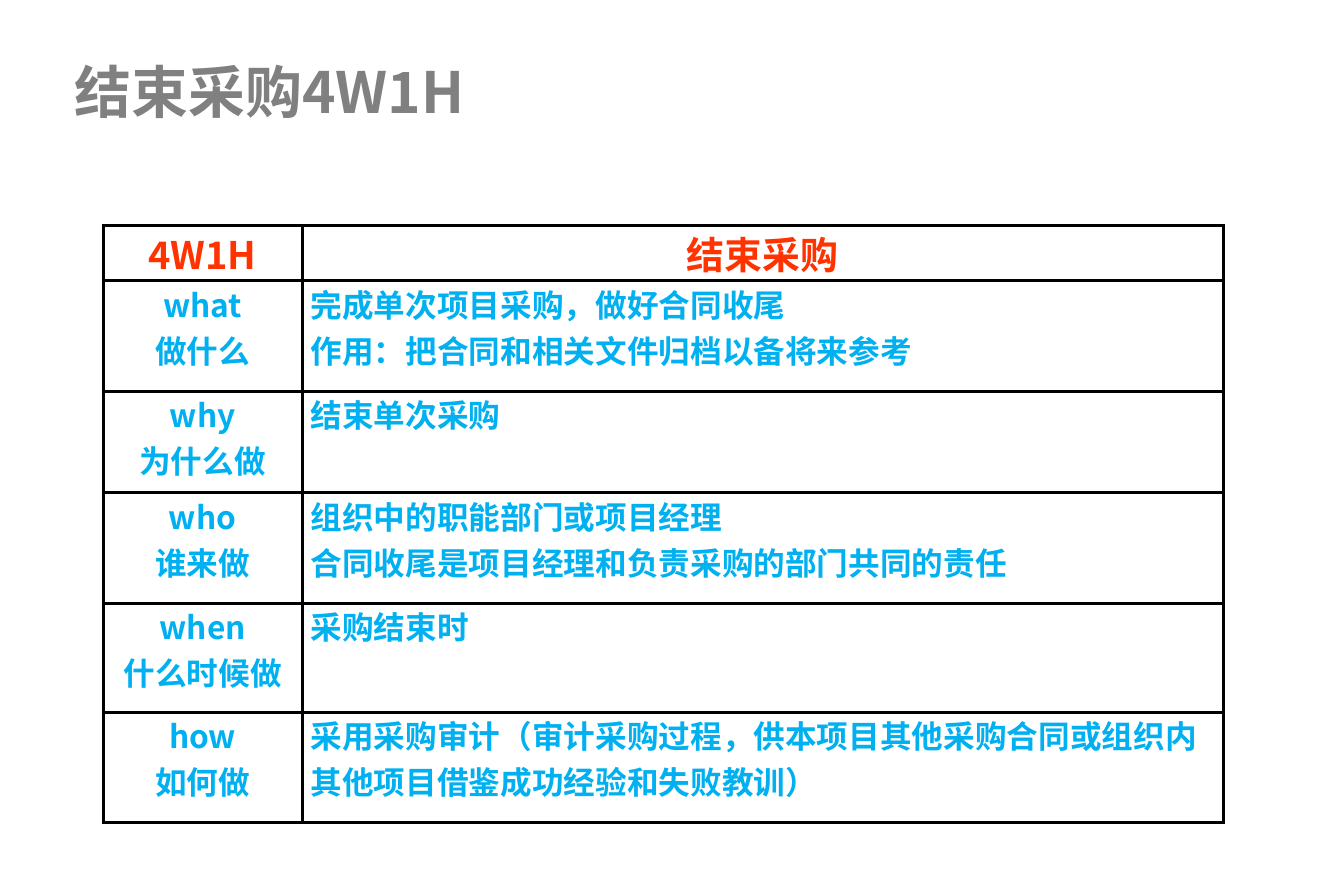
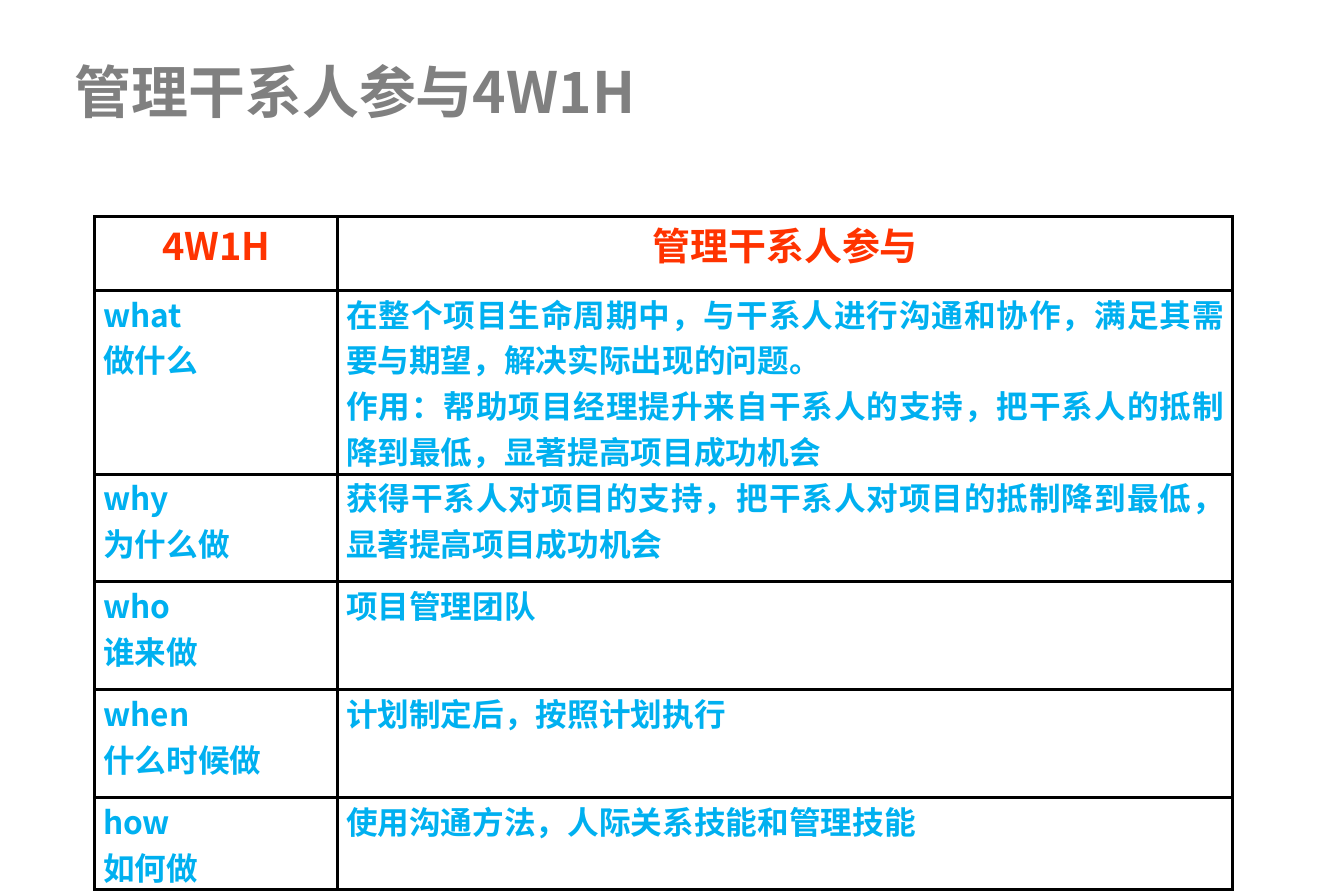
from lxml import etree
from pptx import Presentation
from pptx.dml.color import RGBColor
from pptx.enum.text import MSO_ANCHOR, PP_ALIGN
from pptx.oxml.ns import qn
from pptx.util import Pt

# Shared style
PIXEL = 9525  # EMU per px, 96 px to the inch
SLIDE_SIZE = (1134, 756)
FONT = "Noto Sans CJK SC"
COLORS = {
    "title": "808080",
    "header": "FF3300",
    "body": "00B0F0",
    "border": "000000",
    "cell": "FFFFFF",
}
TITLE_BOX = (52, 47, 1020, 60)
BORDER_WIDTH = 2.25
QUESTIONS = [
    ["what", "做什么"],
    ["why", "为什么做"],
    ["who", "谁来做"],
    ["when", "什么时候做"],
    ["how", "如何做"],
]

# Slide content
SLIDES = [
    {
        "topic": "结束采购",
        "origin": (87, 190),
        "columns": [168, 777],
        "rows": [47, 93, 86, 93, 92, 93],
        "question_align": PP_ALIGN.CENTER,
        "answer_align": PP_ALIGN.LEFT,
        "answers": [
            ["完成单次项目采购，做好合同收尾", "作用：把合同和相关文件归档以备将来参考"],
            ["结束单次采购"],
            ["组织中的职能部门或项目经理", "合同收尾是项目经理和负责采购的部门共同的责任"],
            ["采购结束时"],
            ["采用采购审计（审计采购过程，供本项目其他采购合同或组织内其他项目借鉴成功经验和失败教训）"],
        ],
    },
    {
        "topic": "管理干系人参与",
        "origin": (80, 183),
        "columns": [205, 755],
        "rows": [62, 155, 91, 91, 91, 78],
        "question_align": PP_ALIGN.JUSTIFY,
        "answer_align": PP_ALIGN.JUSTIFY,
        "answers": [
            [
                "在整个项目生命周期中，与干系人进行沟通和协作，满足其需要与期望，解决实际出现的问题。",
                "作用：帮助项目经理提升来自干系人的支持，把干系人的抵制降到最低，显著提高项目成功机会",
            ],
            ["获得干系人对项目的支持，把干系人对项目的抵制降到最低，显著提高项目成功机会"],
            ["项目管理团队"],
            ["计划制定后，按照计划执行"],
            ["使用沟通方法，人际关系技能和管理技能"],
        ],
    },
]


def px(length):
    return length * PIXEL


def set_margins(target, horizontal, vertical):
    target.margin_left = target.margin_right = px(horizontal)
    target.margin_top = target.margin_bottom = px(vertical)


def write_lines(text_frame, lines, size, color, align):
    for index, line in enumerate(lines):
        paragraph = text_frame.add_paragraph() if index else text_frame.paragraphs[0]
        paragraph.alignment = align
        run = paragraph.add_run()
        run.text = line
        font = run.font
        font.size = Pt(size)
        font.bold = True
        font.color.rgb = RGBColor.from_string(COLORS[color])
        font.name = FONT
        # East Asian typeface follows the Latin one
        properties = run._r.get_or_add_rPr()
        etree.SubElement(properties, qn("a:ea")).set("typeface", FONT)


def add_borders(cell):
    properties = cell._tc.get_or_add_tcPr()
    for side in ("lnL", "lnR", "lnT", "lnB"):
        line = etree.SubElement(properties, qn(f"a:{side}"), w=str(int(Pt(BORDER_WIDTH))))
        fill = etree.SubElement(line, qn("a:solidFill"))
        etree.SubElement(fill, qn("a:srgbClr"), val=COLORS["border"])


def fill_cell(cell, lines, size, color, align):
    set_margins(cell, 7, 0)
    add_borders(cell)
    cell.fill.solid()
    cell.fill.fore_color.rgb = RGBColor.from_string(COLORS["cell"])
    write_lines(cell.text_frame, lines, size, color, align)


def add_title(slide, text, box):
    text_frame = slide.shapes.add_textbox(*map(px, box)).text_frame
    text_frame.word_wrap = True
    set_margins(text_frame, 11, 6)
    text_frame.vertical_anchor = MSO_ANCHOR.MIDDLE
    write_lines(text_frame, [text], 36, "title", PP_ALIGN.LEFT)


def add_question_table(slide, content, origin):
    rows, columns = content["rows"], content["columns"]
    box = (*origin, sum(columns), sum(rows))
    table = slide.shapes.add_table(len(rows), len(columns), *map(px, box)).table
    table.first_row = table.horz_banding = False
    for column, width in zip(table.columns, columns):
        column.width = px(width)
    for row, height in zip(table.rows, rows):
        row.height = px(height)

    # Header row
    for index, heading in enumerate(["4W1H", content["topic"]]):
        fill_cell(table.cell(0, index), [heading], 24, "header", PP_ALIGN.CENTER)

    # Question and answer rows
    for index, (question, answer) in enumerate(zip(QUESTIONS, content["answers"]), 1):
        fill_cell(table.cell(index, 0), question, 20, "body", content["question_align"])
        fill_cell(table.cell(index, 1), answer, 20, "body", content["answer_align"])


def main():
    presentation = Presentation()
    presentation.slide_width, presentation.slide_height = map(px, SLIDE_SIZE)
    for content in SLIDES:
        slide = presentation.slides.add_slide(presentation.slide_layouts[6])
        add_title(slide, content["topic"] + "4W1H", TITLE_BOX)
        add_question_table(slide, content, content["origin"])
    presentation.save("out.pptx")


if __name__ == "__main__":
    main()
